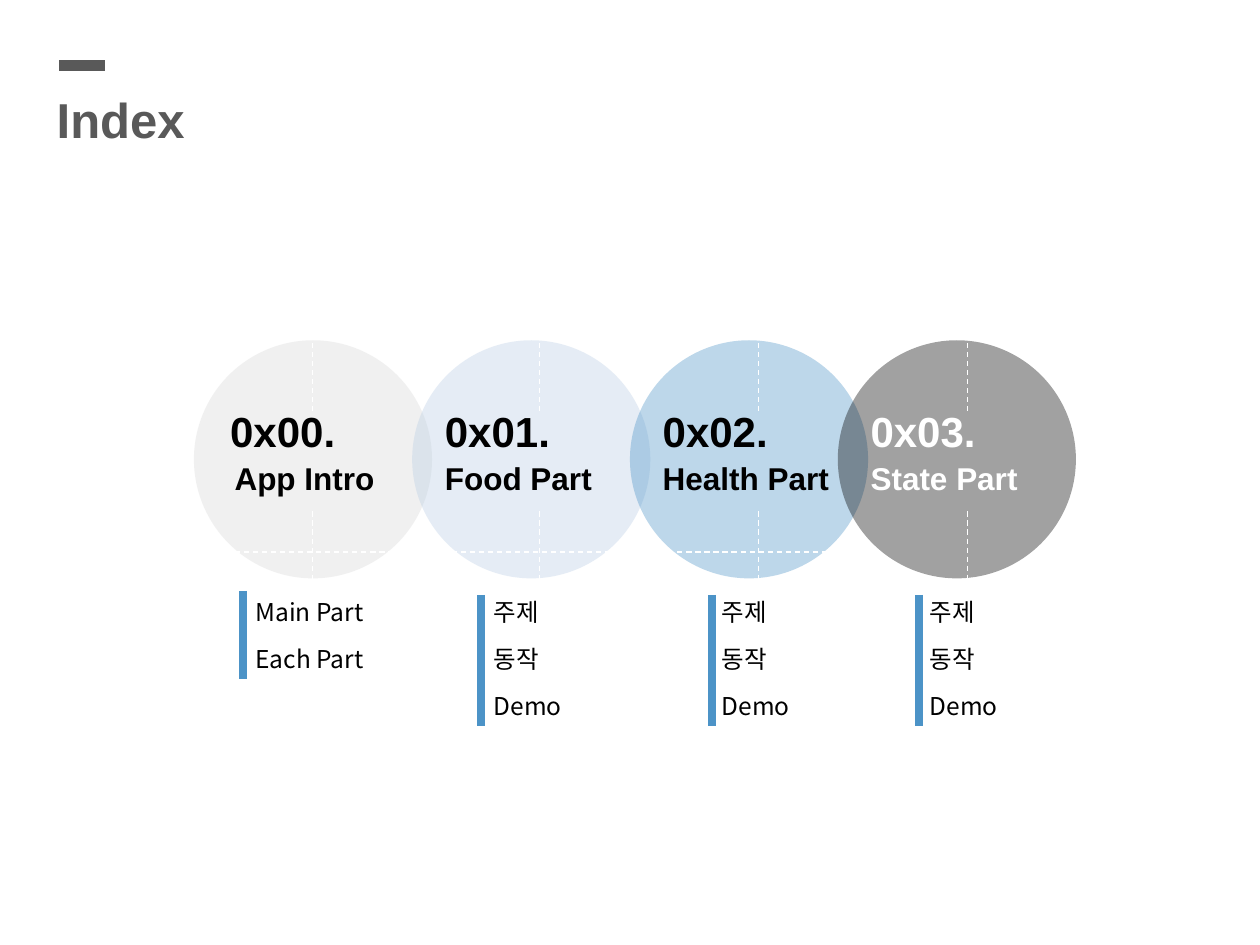
from dataclasses import dataclass

from lxml.etree import SubElement
from pptx import Presentation
from pptx.dml.color import RGBColor
from pptx.enum.dml import MSO_LINE
from pptx.enum.shapes import MSO_CONNECTOR, MSO_SHAPE
from pptx.enum.text import MSO_ANCHOR, MSO_AUTO_SIZE, PP_ALIGN
from pptx.oxml.ns import qn
from pptx.util import Cm, Pt


@dataclass(frozen=True)
class Theme:
    latin: str = "Arial"
    korean: str = "Noto Sans CJK KR"
    title: str = "595959"
    ink: str = "000000"
    white: str = "FFFFFF"
    accent: str = "4C93C7"
    title_size: int = 28
    number_size: int = 24
    name_size: int = 18
    detail_size: int = 14
    opacity: int = 37


@dataclass(frozen=True)
class Chapter:
    number: str
    name: str
    fill: str
    ink: str
    left: float  # circle
    label: float  # label offset from the circle
    guide: float  # vertical guide offset from the circle
    details: tuple
    detail_left: float
    bar: tuple  # x, top, bottom
    name_width: float = 4.39
    align: PP_ALIGN = PP_ALIGN.LEFT


THEME = Theme()
TOPICS = ("주제", "동작", "Demo")
CHAPTERS = (
    Chapter("0x00.", "App Intro", "D9D9D9", THEME.ink, 3.91, 0.48, 2.39,
            ("Main Part", "Each Part"), 4.9, (4.9, 11.91, 13.69),
            3.5, PP_ALIGN.CENTER),
    Chapter("0x01.", "Food Part", "B9CDE5", THEME.ink, 8.31, 0.41, 2.56,
            TOPICS, 9.7, (9.7, 11.99, 14.63)),
    Chapter("0x02.", "Health Part", THEME.accent, THEME.ink, 12.7, 0.41, 2.59,
            TOPICS, 14.3, (14.35, 11.99, 14.63)),
    Chapter("0x03.", "State Part", "000000", THEME.white, 16.89, 0.41, 2.62,
            TOPICS, 18.49, (18.52, 11.99, 14.63)),
)
CIRCLE_TOP, CIRCLE_SIZE = 6.86, 4.8
DETAIL_TOP, DETAIL_STEP = 11.91, 0.95


def write(frame, text, *, size, color, font=THEME.latin, bold=False,
          align=PP_ALIGN.LEFT):
    para = frame.paragraphs[0]
    para.alignment = align
    span = para.add_run()
    span.text = text
    span.font.size = Pt(size)
    span.font.bold = bold
    span.font.color.rgb = RGBColor.from_string(color)
    span.font.name = font
    SubElement(span.font._element, qn("a:ea"), typeface=font)


def add_text(page, left, top, width, height, text, **style):
    box = page.shapes.add_textbox(Cm(left), Cm(top), Cm(width), Cm(height))
    box.text_frame.word_wrap = style.get("align") == PP_ALIGN.CENTER
    write(box.text_frame, text, **style)


def add_line(page, start, end, color, width, dash=None):
    line = page.shapes.add_connector(
        MSO_CONNECTOR.STRAIGHT, *(Cm(value) for value in (*start, *end)))
    line.line.color.rgb = RGBColor.from_string(color)
    line.line.width = Pt(width)
    if dash is not None:
        line.line.dash_style = dash
    SubElement(line._element.spPr, qn("a:effectLst"))


def add_guide(page, start, end):
    add_line(page, start, end, THEME.white, 0.75, MSO_LINE.DASH)


def add_heading(page, left, top, text):
    title = page.shapes.title
    title.left, title.top, title.width, title.height = (
        Cm(value) for value in (left, top, 3.5, 1.45))
    frame = title.text_frame
    frame.auto_size = MSO_AUTO_SIZE.NONE
    frame.vertical_anchor = MSO_ANCHOR.TOP
    frame.word_wrap = False
    write(frame, text, size=THEME.title_size, color=THEME.title, bold=True)
    # Short accent dash above the title
    add_line(page, (left + 0.3, top - 0.36), (left + 1.22, top - 0.36),
             THEME.title, 6)


def add_circle(page, chapter, left, top, size):
    circle = page.shapes.add_shape(
        MSO_SHAPE.OVAL, Cm(left), Cm(top), Cm(size), Cm(size))
    circle.shadow.inherit = False
    circle.fill.solid()
    circle.fill.fore_color.rgb = RGBColor.from_string(chapter.fill)
    color = circle._element.spPr.find(qn("a:solidFill"))[0]
    SubElement(color, qn("a:alpha"), val=str(THEME.opacity * 1000))
    circle.line.fill.background()

    # Number and name
    label = left + chapter.label
    add_text(page, label, top + 1.19, 3.5, 1.27, chapter.number,
             size=THEME.number_size, color=chapter.ink, bold=True)
    add_text(page, label, top + 2.26, chapter.name_width, 1.02, chapter.name,
             size=THEME.name_size, color=chapter.ink, bold=True,
             align=chapter.align)

    # Guides below and above the label
    x = left + chapter.guide
    for offset in (3.45, -0.13):
        add_guide(page, (x, top + offset), (x, top + offset + 1.6))


def add_details(page, chapter, left, top):
    for row, text in enumerate(chapter.details):
        add_text(page, left, top + row * DETAIL_STEP, 3, 0.86, text,
                 size=THEME.detail_size, color=THEME.ink, font=THEME.korean)
    x, bar_top, bar_bottom = chapter.bar
    add_line(page, (x, bar_top), (x, bar_bottom), THEME.accent, 4.5)


def main():
    deck = Presentation()
    deck.slide_width, deck.slide_height = Cm(25.4), Cm(19.05)
    page = deck.slides.add_slide(deck.slide_layouts[5])
    add_heading(page, 0.89, 1.68, "Index")

    # Row of overlapping circles; the lower guide lies under the last one
    add_guide(page, (4.19, 7.44), (21.49, 7.44))
    for chapter in CHAPTERS:
        if chapter is CHAPTERS[-1]:
            add_guide(page, (4.19, 11.13), (21.49, 11.13))
        add_circle(page, chapter, chapter.left, CIRCLE_TOP, CIRCLE_SIZE)

    # Topics under the circles
    for chapter in CHAPTERS:
        add_details(page, chapter, chapter.detail_left, DETAIL_TOP)
    deck.save("out.pptx")


if __name__ == "__main__":
    main()
